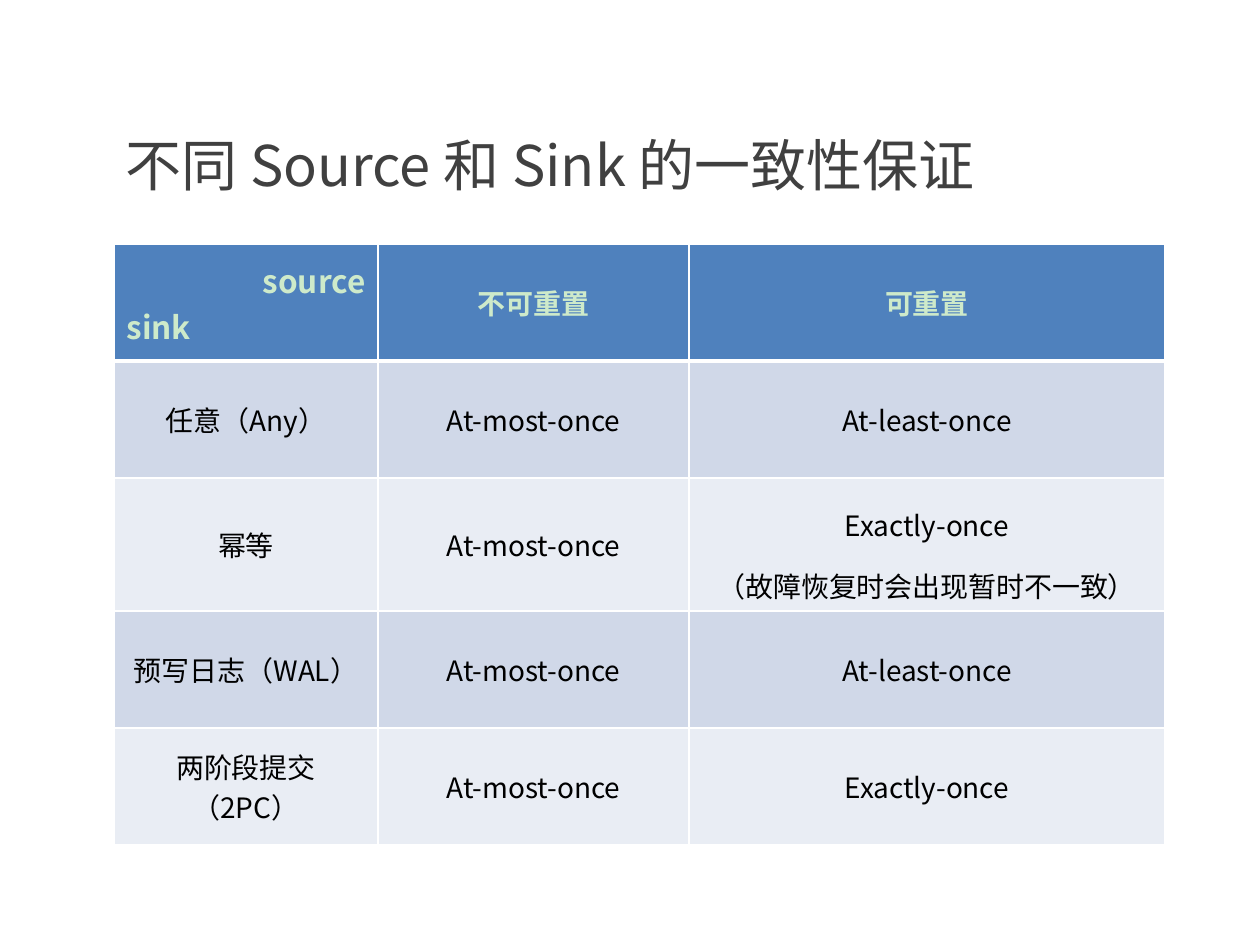
from dataclasses import dataclass

from lxml.etree import SubElement
from pptx import Presentation
from pptx.dml.color import RGBColor
from pptx.enum.text import MSO_ANCHOR, PP_ALIGN
from pptx.oxml.ns import qn
from pptx.util import Emu, Pt

PX_PER_INCH = 126


@dataclass(frozen=True)
class Theme:
    font: str = "Noto Sans CJK SC"
    background: str = "FFFFFF"
    border: str = "FFFFFF"
    title: str = "404040"
    header_fill: str = "4F81BD"
    header_text: str = "CEEACA"
    body_text: str = "000000"
    bands: tuple = ("D0D8E8", "E9EDF4")
    title_size: int = 32
    corner_size: int = 18
    cell_size: int = 16
    border_width: int = 1
    header_rule_width: int = 3


THEME = Theme()

COLUMN_WIDTHS = (264, 311, 476)
ROW_HEIGHT = 117
NOTED_ROW_HEIGHT = 133
GUARANTEES = (
    ("source\nsink", "不可重置", "可重置"),
    ("任意（Any）", "At-most-once", "At-least-once"),
    ("幂等", "At-most-once", "Exactly-once\n（故障恢复时会出现暂时不一致）"),
    ("预写日志（WAL）", "At-most-once", "At-least-once"),
    ("两阶段提交（2PC）", "At-most-once", "Exactly-once"),
)


def px(length):
    return Emu(round(length * 914400 / PX_PER_INCH))


def format_text(frame, size, color, bold=False):
    for paragraph in frame.paragraphs:
        for run in paragraph.runs:
            run.font.name = THEME.font
            run.font.size = Pt(size)
            run.font.bold = bold
            run.font.color.rgb = RGBColor.from_string(color)
            SubElement(run.font._element, qn("a:ea"), typeface=THEME.font)


def add_title(slide, text):
    title = slide.shapes.add_textbox(px(63), px(86), px(1134), px(157))
    frame = title.text_frame
    frame.word_wrap = True
    frame.vertical_anchor = MSO_ANCHOR.MIDDLE
    frame.text = text
    properties = frame.paragraphs[0]._p.get_or_add_pPr()
    properties.set("marL", "0")
    properties.set("indent", str(px(50)))
    format_text(frame, THEME.title_size, THEME.title)


def set_borders(cell, top, bottom):
    properties = cell._tc.get_or_add_tcPr()
    side = THEME.border_width
    widths = {"lnL": side, "lnR": side, "lnT": top, "lnB": bottom}
    for position, (edge, width) in enumerate(widths.items()):
        line = SubElement(properties, qn(f"a:{edge}"), w=str(Pt(width)))
        fill = SubElement(line, qn("a:solidFill"))
        SubElement(fill, qn("a:srgbClr"), val=THEME.border)
        properties.insert(position, line)


def fill_cell(cell, text, row, column):
    is_header = row == 0
    is_corner = is_header and column == 0
    fill = THEME.header_fill if is_header else THEME.bands[(row - 1) % 2]
    cell.fill.solid()
    cell.fill.fore_color.rgb = RGBColor.from_string(fill)
    set_borders(
        cell,
        THEME.header_rule_width if row == 1 else THEME.border_width,
        THEME.header_rule_width if is_header else THEME.border_width,
    )
    cell.vertical_anchor = MSO_ANCHOR.MIDDLE
    frame = cell.text_frame
    frame.text = text
    paragraphs = frame.paragraphs
    for paragraph in paragraphs:
        paragraph.alignment = PP_ALIGN.CENTER
        if len(paragraphs) > 1 and not is_header:
            paragraph.line_spacing = 1.5
    if is_corner:
        paragraphs[0].alignment = PP_ALIGN.RIGHT
        paragraphs[1].alignment = PP_ALIGN.LEFT
    format_text(
        frame,
        THEME.corner_size if is_corner else THEME.cell_size,
        THEME.header_text if is_header else THEME.body_text,
        is_header,
    )


def row_height(row, texts):
    has_note = row > 0 and any("\n" in text for text in texts)
    return NOTED_ROW_HEIGHT if has_note else ROW_HEIGHT


def add_guarantee_table(slide):
    heights = [row_height(row, texts) for row, texts in enumerate(GUARANTEES)]
    table = slide.shapes.add_table(
        len(GUARANTEES), len(COLUMN_WIDTHS), px(114), px(244),
        px(sum(COLUMN_WIDTHS)), px(sum(heights)),
    ).table
    table.horz_banding = False
    for column, width in zip(table.columns, COLUMN_WIDTHS):
        column.width = px(width)
    for row, texts in enumerate(GUARANTEES):
        table.rows[row].height = px(heights[row])
        for column, text in enumerate(texts):
            fill_cell(table.cell(row, column), text, row, column)


def main():
    presentation = Presentation()
    presentation.slide_width = px(1260)
    presentation.slide_height = px(945)
    slide = presentation.slides.add_slide(presentation.slide_layouts[6])
    slide.background.fill.solid()
    slide.background.fill.fore_color.rgb = RGBColor.from_string(THEME.background)
    add_title(slide, "不同 Source 和 Sink 的一致性保证")
    add_guarantee_table(slide)
    presentation.save("out.pptx")


if __name__ == "__main__":
    main()
